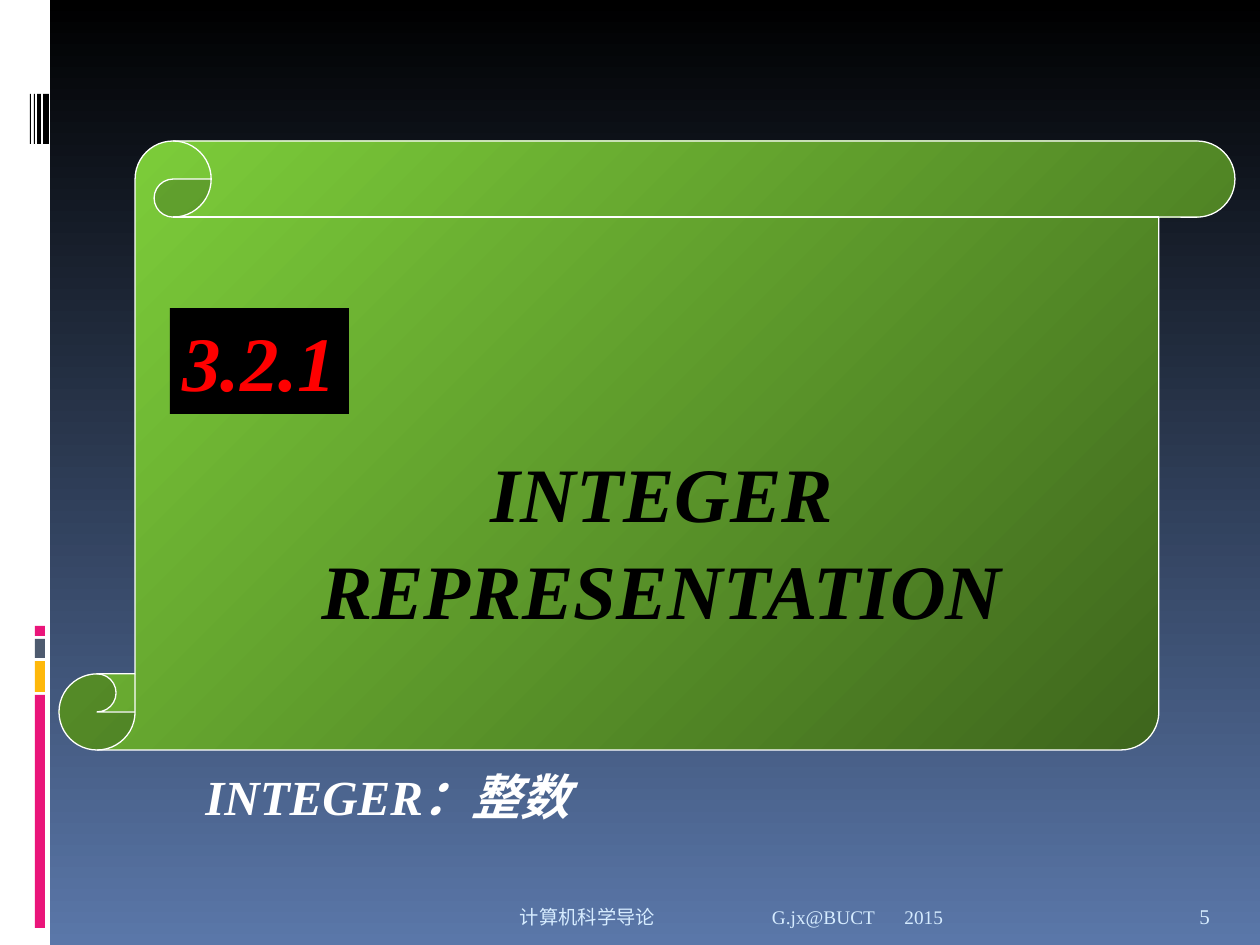
from lxml import etree
from pptx import Presentation
from pptx.dml.color import RGBColor
from pptx.enum.shapes import MSO_SHAPE
from pptx.enum.text import MSO_ANCHOR, MSO_AUTO_SIZE, PP_ALIGN
from pptx.oxml import parse_xml
from pptx.oxml.ns import nsdecls, qn
from pptx.util import Emu, Pt

RECT, SCROLL = MSO_SHAPE.RECTANGLE, MSO_SHAPE.VERTICAL_SCROLL
TOP, BOTTOM = MSO_ANCHOR.TOP, MSO_ANCHOR.BOTTOM
LEFT, CENTER, RIGHT = PP_ALIGN.LEFT, PP_ALIGN.CENTER, PP_ALIGN.RIGHT

BLACK = RGBColor(0x00, 0x00, 0x00)
WHITE = RGBColor(0xFF, 0xFF, 0xFF)
RED = RGBColor(0xFF, 0x00, 0x00)
PINK = RGBColor(0xEA, 0x15, 0x7A)
AMBER = RGBColor(0xFE, 0xB8, 0x0A)
SLATE = RGBColor(0x4E, 0x5B, 0x6F)
PALE_BLUE = RGBColor(0xD6, 0xEC, 0xFF)
SKY = RGBColor(0x5A, 0x77, 0xA9)
LIME = RGBColor(0x7F, 0xD1, 0x3B)
MOSS = RGBColor(0x3B, 0x61, 0x1B)

FONT = "Times New Roman"
EMU_PER_PX = 914400 / 126


def px(n):
    return Emu(round(n * EMU_PER_PX))


def set_gradient(fill, start, end, angle):
    """Two-colour linear gradient; angle runs counter-clockwise."""
    fill.gradient()
    fill.gradient_angle = angle
    for stop, color in zip(fill.gradient_stops, (start, end)):
        stop.color.rgb = color


def add_block(s, box, color, kind=RECT):
    sp = s.shapes.add_shape(kind, *map(px, box))
    sp.shadow.inherit = False
    sp.fill.solid()
    sp.fill.fore_color.rgb = color
    sp.line.fill.background()
    return sp


def add_scroll(s, box):
    sp = add_block(s, box, LIME, SCROLL)
    set_gradient(sp.fill, LIME, MOSS, 315)
    sp.line.color.rgb = WHITE
    sp.line.width = Pt(0.75)


def add_tab_stops(p, count):
    """Left tab stops one inch apart."""
    tabs = etree.SubElement(p._p.get_or_add_pPr(), qn("a:tabLst"))
    for i in range(count):
        etree.SubElement(tabs, qn("a:tab"), pos=str(i * 914400), algn="l")


def add_text_shadow(r):
    r._r.get_or_add_rPr().append(parse_xml(
        f'<a:effectLst {nsdecls("a")}>'
        '<a:outerShdw dist="25400" dir="2700000" algn="tl">'
        f'<a:srgbClr val="{SLATE}"/></a:outerShdw></a:effectLst>'))


def write(sp, lines, size, color, align=LEFT, anchor=TOP, bold=False,
          wrap=True, tabs=0):
    tf = sp.text_frame
    tf.word_wrap = wrap
    tf.auto_size = MSO_AUTO_SIZE.NONE
    tf.vertical_anchor = anchor
    tf.text = "\n".join(lines)
    for p in tf.paragraphs:
        p.alignment = align
        if tabs:
            add_tab_stops(p, tabs)
        font = p.font
        font.name, font.size = FONT, Pt(size)
        font.bold = font.italic = bold
        font.color.rgb = color


def add_label(s, box, text, size, color, **style):
    write(s.shapes.add_textbox(*map(px, box)), [text], size, color, **style)


def add_title(s, box, lines):
    title = s.shapes.title
    title.left, title.top, title.width, title.height = map(px, box)
    write(title, lines, 44, BLACK, align=CENTER, bold=True, wrap=False)
    for p in title.text_frame.paragraphs:
        p.line_spacing = 1.05
        add_text_shadow(p.runs[0])
    # Bring the title in front of the scroll
    title.element.getparent().append(title.element)


def add_side_strip(s):
    add_block(s, (0, 0, 50, 945), WHITE)
    for top, height, color in ((695, 233, PINK), (661, 31, AMBER),
                               (639, 19, SLATE), (626, 10, PINK)):
        add_block(s, (35, top, 10, height), color)
    for left, width in ((43, 6), (37, 4), (34, 1), (30, 1)):
        add_block(s, (left, 94, width, 50), BLACK)


def add_footer(s):
    add_label(s, (892, 885, 294, 50), "2015", 11, PALE_BLUE, anchor=BOTTOM)
    add_label(s, (126, 885, 766, 50), "计算机科学导论\tG.jx@BUCT ", 11,
              PALE_BLUE, align=RIGHT, anchor=BOTTOM, tabs=8)
    add_label(s, (1187, 885, 63, 50), "5", 12, PALE_BLUE, anchor=BOTTOM)


def main():
    prs = Presentation()
    prs.slide_width, prs.slide_height = px(1260), px(945)
    s = prs.slides.add_slide(prs.slide_layouts[5])
    set_gradient(s.background.fill, BLACK, SKY, 270)

    add_side_strip(s)
    add_footer(s)
    add_scroll(s, (59, 141, 1176, 609))
    add_title(s, (305, 435, 714, 198), ["INTEGER", "REPRESENTATION"])
    number = add_block(s, (170, 308, 179, 106), BLACK)
    write(number, ["3.2.1"], 44, RED, align=CENTER, bold=True, wrap=False)
    add_label(s, (193, 760, 446, 72), "INTEGER：整数", 28, WHITE, bold=True)
    prs.save("out.pptx")


if __name__ == "__main__":
    main()
